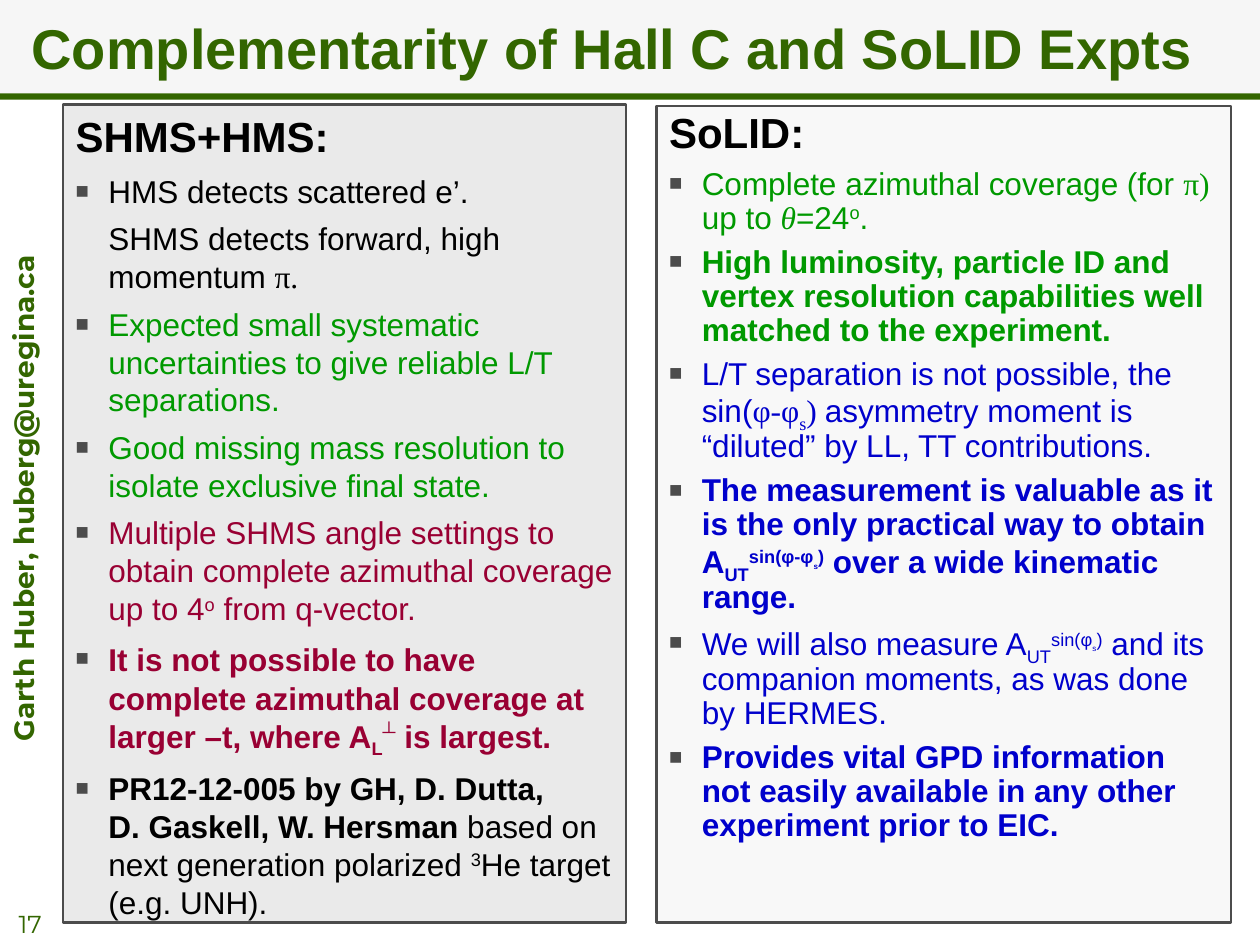
from dataclasses import dataclass

from lxml.etree import SubElement as Sub
from pptx import Presentation
from pptx.dml.color import RGBColor as Rgb
from pptx.enum.shapes import MSO_SHAPE as Shape
from pptx.enum.text import MSO_ANCHOR as Anchor, MSO_AUTO_SIZE as Fit, PP_ALIGN as Align
from pptx.oxml.ns import qn
from pptx.util import Inches, Pt


@dataclass(frozen=True)
class Theme:
    """Colours, fonts and type sizes of the slide."""
    dark: str = "336600"
    band: str = "5D5C53"
    left: str = "969696"
    right: str = "C0C0C0"
    edge: str = "4C4C4C"
    black: str = "000000"
    green: str = "009900"
    red: str = "990033"
    blue: str = "0000CC"
    sans: str = "Arial"
    serif: str = "Times New Roman"
    side: str = "Montserrat"
    title: int = 32
    head: int = 24
    body: int = 18
    note: int = 16
    page: int = 14
    tiny: int = 8


T = Theme()
SUP = {"base": 30}
SUB = {"base": -25}
GREEK = {"face": T.serif}
TINY = {"base": 30, "size": T.tiny}

SHMS = [
    (T.black, False, ["HMS detects scattered e’."]),
    (T.black, False, ["SHMS detects forward, high momentum ", ("π.", GREEK)]),
    (T.green, False, ["Expected small systematic uncertainties to give reliable L/T separations."]),
    (T.green, False, ["Good missing mass resolution to isolate exclusive final state."]),
    (T.red, False, ["Multiple SHMS angle settings to obtain complete azimuthal coverage up to 4",
                    ("o", SUP), " from q-vector."]),
    (T.red, True, ["It is not possible to have", (" ", {"size": 20}),
                   "complete azimuthal coverage at larger –t, where A",
                   ("L", SUB), ("┴", SUP), " is largest."]),
    (T.black, True, ["PR12-12-005 by GH, D. Dutta,", "\n", "D. Gaskell, W. Hersman ",
                     ("based on next generation polarized ", {"bold": False}),
                     ("3", {"base": 30, "bold": False}),
                     ("He target (e.g. UNH).", {"bold": False})]),
]
SOLID = [
    (T.green, False, ["Complete azimuthal coverage (for ", ("π)", GREEK), " up to ",
                      ("θ", {"face": T.serif, "slant": True}), "=24", ("o", SUP), "."]),
    (T.green, True, ["High luminosity, particle ID and vertex resolution capabilities "
                     "well matched to the experiment."]),
    (T.blue, False, ["L/T separation is not possible, the sin(", ("φ-φ", GREEK),
                     ("s", {"base": -25, "face": T.serif}), (") ", GREEK),
                     "asymmetry moment is “diluted” by LL, TT contributions."]),
    (T.blue, True, ["The measurement is valuable as it is the only practical way to obtain A",
                    ("UT", SUB), ("sin(φ-φ", SUP), ("s", TINY), (")", SUP),
                    " over a wide kinematic range."]),
    (T.blue, False, ["We will also measure A", ("UT", SUB), ("sin(φ", SUP), ("s", TINY),
                     (")", SUP), " and its companion moments, as was done by HERMES."]),
    (T.blue, True, ["Provides vital GPD information not easily available in any other "
                    "experiment prior to EIC."]),
]


def place(shape, x, y, w, h):
    """Move and size a shape, in inches."""
    shape.left, shape.top, shape.width, shape.height = map(Inches, (x, y, w, h))


def paint(shape, color, alpha=100):
    """Fill a shape with a colour of the given opacity."""
    shape.fill.solid()
    shape.fill.fore_color.rgb = Rgb.from_string(color)
    if alpha < 100:
        tint = next(shape.element.spPr.iter(qn("a:srgbClr")))
        Sub(tint, qn("a:alpha"), val=str(alpha * 1000))


def style(para, size, color, bold=False, face=T.sans):
    """Set the font of a whole paragraph."""
    font = para.font
    font.name, font.size, font.bold = face, Pt(size), bold
    font.color.rgb = Rgb.from_string(color)


def add_run(para, text, base=0, face=None, size=None, bold=None, slant=None):
    """Add a run with only its own differences from the paragraph."""
    if text == "\n":
        para.add_line_break()
        return
    run = para.add_run()
    run.text = text
    font = run.font
    font.name, font.bold, font.italic = face, bold, slant
    if size:
        font.size = Pt(size)
    if base:
        font._element.set("baseline", str(base * 1000))


def mark(para, bullet):
    """Give a paragraph a square bullet or none."""
    props = para._p.get_or_add_pPr()
    props.set("marL", str(Inches(0.26)))
    props.set("indent", str(Inches(-0.26 if bullet else 0)))
    if not bullet:
        Sub(props, qn("a:buNone"))
        return
    Sub(Sub(props, qn("a:buClr")), qn("a:srgbClr"), val=T.edge)
    Sub(props, qn("a:buSzPct"), val="70000")
    Sub(props, qn("a:buFont"), typeface=T.sans)
    Sub(props, qn("a:buChar"), char="■")


def fill_list(shape, head, items, lead, plain=()):
    """Write a heading and its list, with plain items left unbulleted."""
    frame = shape.text_frame
    frame.auto_size = Fit.NONE
    para = frame.paragraphs[0]
    mark(para, False)
    para._p.pPr.set("marL", "0")
    para.line_spacing, para.space_before, para.space_after = lead, Pt(6), Pt(1.5)
    style(para, T.head, T.black, True)
    add_run(para, head)
    for i, (color, bold, runs) in enumerate(items):
        para = frame.add_paragraph()
        mark(para, i not in plain)
        para.line_spacing, para.space_before, para.space_after = lead, Pt(4.5), Pt(1.1)
        style(para, T.body, color, bold)
        for run in runs:
            text, diff = (run, {}) if isinstance(run, str) else run
            add_run(para, text, **diff)


def add_panel(shape, box, color, alpha):
    """Place a list placeholder as a tinted, outlined panel."""
    place(shape, *box)
    paint(shape, color, alpha)
    shape.line.color.rgb = Rgb.from_string(T.edge)
    shape.line.width = Pt(1.5)


def set_title(shape, text):
    """Write the title on its pale band."""
    place(shape, 0, 0, 10, 0.74)
    paint(shape, T.band, 5)
    frame = shape.text_frame
    frame.auto_size, frame.vertical_anchor = Fit.NONE, Anchor.MIDDLE
    frame.margin_left = Inches(0.25)
    para = frame.paragraphs[0]
    para.alignment = Align.LEFT
    style(para, T.title, T.dark, True)
    add_run(para, text)


def add_note(slide, box, text, size, bold=False, turn=0, anchor=Anchor.TOP):
    """Add a centred line of small text."""
    shape = slide.shapes.add_textbox(*map(Inches, box))
    shape.rotation = turn
    frame = shape.text_frame
    frame.word_wrap, frame.vertical_anchor = True, anchor
    para = frame.paragraphs[0]
    para.alignment = Align.CENTER
    style(para, size, T.dark, bold, T.side)
    add_run(para, text)


def add_bar(slide, box):
    """Add the rule under the title."""
    bar = slide.shapes.add_shape(Shape.RECTANGLE, *map(Inches, box))
    bar.shadow.inherit = False
    paint(bar, T.dark)
    bar.line.fill.background()


def main():
    """Build the slide and save it."""
    deck = Presentation()
    deck.slide_width, deck.slide_height = Inches(10), Inches(7.5)
    slide = deck.slides.add_slide(deck.slide_layouts[3])
    title, left, right = slide.placeholders
    set_title(title, "Complementarity of Hall C and SoLID Expts")
    add_bar(slide, (0, 0.74, 10, 0.05))
    add_panel(left, (0.5, 0.83, 4.47, 6.49), T.left, 20)
    fill_list(left, "SHMS+HMS:", SHMS, 1.0, plain=(1,))
    add_panel(right, (5.21, 0.84, 4.56, 6.48), T.right, 10)
    fill_list(right, "SoLID:", SOLID, 0.9)
    add_note(slide, (-2.94, 3.77, 6.25, 0.37), "Garth Huber, huberg@uregina.ca",
             T.note, True, 270)
    add_note(slide, (0, 7.13, 0.48, 0.37), "17", T.page, anchor=Anchor.BOTTOM)
    deck.save("out.pptx")


if __name__ == "__main__":
    main()
